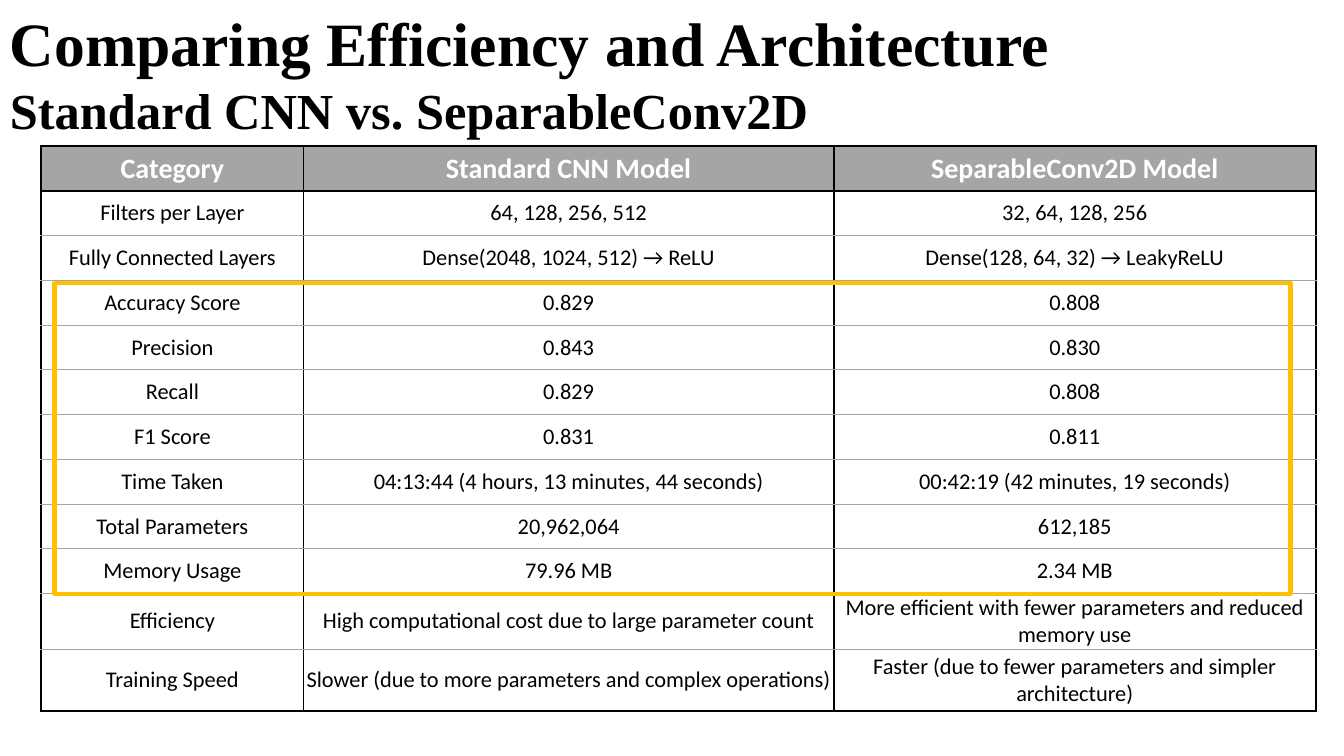
from pptx import Presentation
from pptx.dml.color import RGBColor
from pptx.enum.shapes import MSO_SHAPE
from pptx.enum.text import MSO_ANCHOR, MSO_AUTO_SIZE, PP_ALIGN
from pptx.oxml import parse_xml
from pptx.oxml.ns import nsdecls
from pptx.util import Inches, Pt

TITLE = [("Comparing Efficiency and Architecture", 44),
         ("Standard CNN vs. SeparableConv2D", 36)]
ROWS = [
    ("Category", "Standard CNN Model", "SeparableConv2D Model"),
    ("Filters per Layer", "64, 128, 256, 512", "32, 64, 128, 256"),
    ("Fully Connected Layers", "Dense(2048, 1024, 512) → ReLU", "Dense(128, 64, 32) → LeakyReLU"),
    ("Accuracy Score", "0.829", "0.808"),
    ("Precision", "0.843", "0.830"),
    ("Recall", "0.829", "0.808"),
    ("F1 Score", "0.831", "0.811"),
    ("Time Taken", "04:13:44 (4 hours, 13 minutes, 44 seconds)", "00:42:19 (42 minutes, 19 seconds)"),
    ("Total Parameters", "20,962,064", "612,185"),
    ("Memory Usage", "79.96 MB", "2.34 MB"),
    ("Efficiency", "High computational cost due to large parameter count",
     "More efficient with fewer parameters and reduced memory use"),
    ("Training Speed", "Slower (due to more parameters and complex operations)",
     "Faster (due to fewer parameters and simpler architecture)"),
]
LEFT, TOP, HEIGHT = 0.41, 1.45, 5.61
COLUMNS = [2.6, 5.26, 4.78]
TALL_ROWS = [0.55, 0.62]
SHORT_COUNT = len(ROWS) - len(TALL_ROWS)
SHORT_ROW = (HEIGHT - sum(TALL_ROWS)) / SHORT_COUNT
HEIGHTS = [SHORT_ROW] * SHORT_COUNT + TALL_ROWS
FIRST_MARKED, LAST_MARKED = 3, 9
HEAVY, THIN = ("000000", 1.5), ("A5A5A5", 0.5)
HEADER_FONT = {"name": "Calibri", "size": Pt(20), "bold": True}
BODY_FONT = {"name": "Calibri", "size": Pt(16), "bold": False}


def color(value):
    return RGBColor.from_string(value)


def apply(target, values):
    for name, value in values.items():
        setattr(target, name, value)


def add_border(cell, side, line):
    value, points = line
    cell._tc.get_or_add_tcPr().append(parse_xml(
        f'<a:ln{side} {nsdecls("a")} w="{Pt(points)}"><a:solidFill>'
        f'<a:srgbClr val="{value}"/></a:solidFill></a:ln{side}>'))


def add_title(page):
    box = page.shapes.add_textbox(0, 0, Inches(11.88), Inches(TOP))
    apply(box.text_frame, {"word_wrap": True, "auto_size": MSO_AUTO_SIZE.SHAPE_TO_FIT_TEXT})
    for index, (text, size) in enumerate(TITLE):
        para = box.text_frame.add_paragraph() if index else box.text_frame.paragraphs[0]
        span = para.add_run()
        span.text = text
        apply(span.font, {"name": "Times New Roman", "size": Pt(size), "bold": True})
        span.font.color.rgb = color("000000")


def fill_cell(cell, text, row):
    header, last = row == 0, row == len(ROWS) - 1
    apply(cell, {"margin_left": 0, "margin_right": 0, "margin_top": 0, "margin_bottom": 0,
                 "vertical_anchor": MSO_ANCHOR.MIDDLE})
    para = cell.text_frame.paragraphs[0]
    para.alignment = PP_ALIGN.CENTER
    span = para.add_run()
    span.text = text
    apply(span.font, HEADER_FONT if header else BODY_FONT)
    span.font.color.rgb = color("FFFFFF" if header else "000000")
    add_border(cell, "L", HEAVY)
    add_border(cell, "R", HEAVY)
    add_border(cell, "T", HEAVY if row < 2 else THIN)
    add_border(cell, "B", HEAVY if header or last else THIN)
    if header:
        cell.fill.solid()
        cell.fill.fore_color.rgb = color("A5A5A5")
    else:
        cell.fill.background()


def add_comparison(page):
    frame = page.shapes.add_table(len(ROWS), len(COLUMNS), Inches(LEFT), Inches(TOP),
                                  Inches(sum(COLUMNS)), Inches(HEIGHT))
    table = frame.table
    apply(table, {"first_row": False, "horz_banding": False})
    for column, width in zip(table.columns, COLUMNS):
        column.width = Inches(width)
    for row, (texts, height) in enumerate(zip(ROWS, HEIGHTS)):
        table.rows[row].height = Inches(height)
        for column, text in enumerate(texts):
            fill_cell(table.cell(row, column), text, row)


def add_highlight(page):
    top = TOP + sum(HEIGHTS[:FIRST_MARKED]) + 0.03
    bottom = TOP + sum(HEIGHTS[:LAST_MARKED + 1])
    frame = page.shapes.add_shape(MSO_SHAPE.RECTANGLE, Inches(0.54), Inches(top),
                                  Inches(12.26), Inches(bottom - top))
    frame.shadow.inherit = False
    frame.fill.background()
    frame.line.color.rgb = color("FFC000")
    frame.line.width = Pt(3)


def main():
    deck = Presentation()
    apply(deck, {"slide_width": Inches(13.33), "slide_height": Inches(7.5)})
    page = deck.slides.add_slide(deck.slide_layouts[6])
    add_title(page)
    add_comparison(page)
    add_highlight(page)
    deck.save("out.pptx")


if __name__ == "__main__":
    main()
